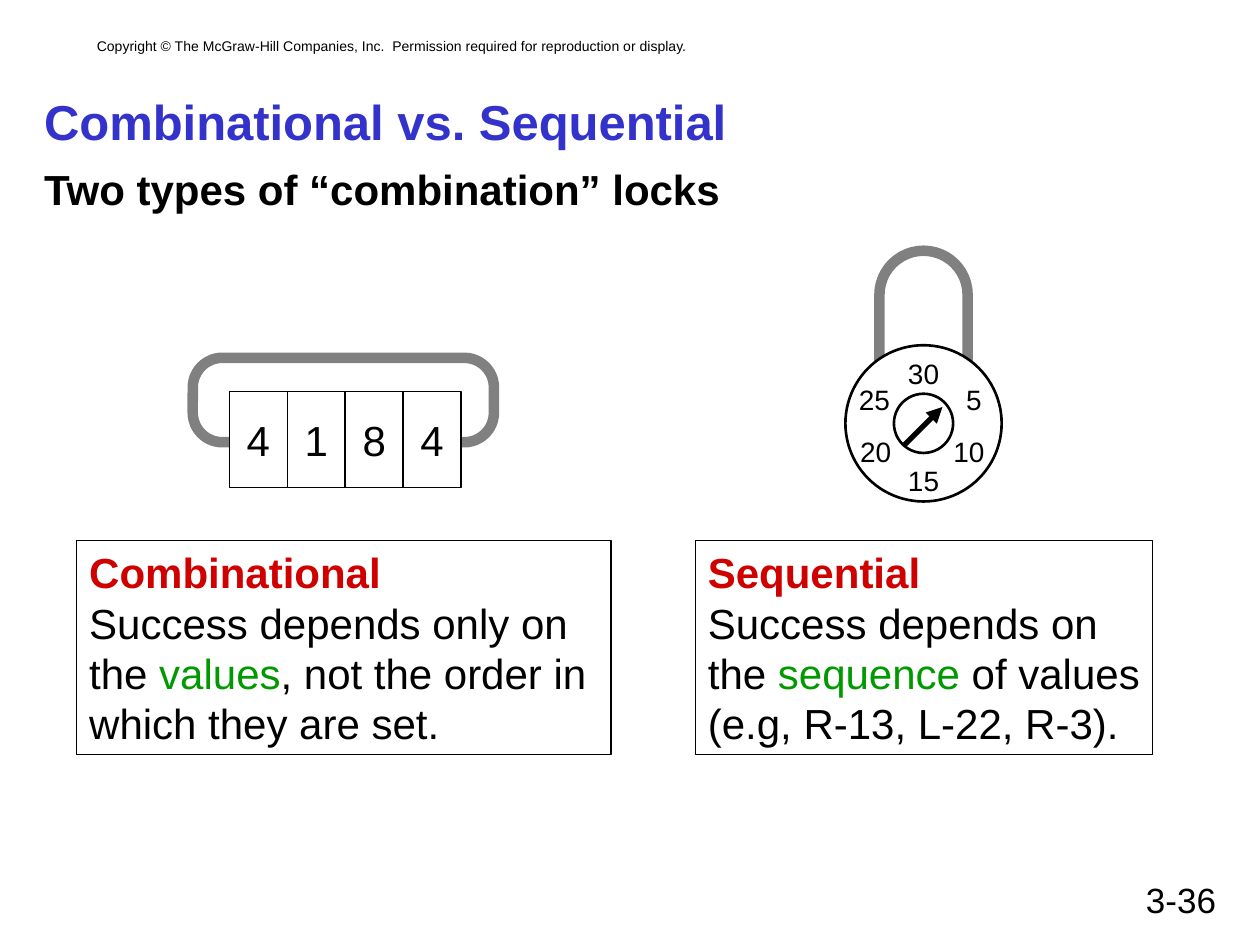
from lxml.etree import SubElement
from pptx import Presentation
from pptx.dml.color import RGBColor
from pptx.enum.shapes import MSO_CONNECTOR, MSO_SHAPE
from pptx.enum.text import MSO_ANCHOR, PP_ALIGN
from pptx.oxml.ns import qn
from pptx.util import Inches, Pt

BLACK, WHITE, GRAY = "000000", "FFFFFF", "808080"
BLUE, RED, GREEN = "3333CC", "CE0000", "009900"

NOTICE = ("Copyright © The McGraw-Hill Companies, Inc.  "
          "Permission required for reproduction or display.")
TITLE = "Combinational vs. Sequential"
LEAD = "Two types of “combination” locks"
PAGE = "3-36"

DIGITS = "4184"
# Dial label, offset from the dial centre, box width
MARKS = [("30", 0, -0.4, 0.44), ("5", 0.4, -0.19, 0.32),
         ("10", 0.36, 0.22, 0.44), ("15", 0, 0.45, 0.44),
         ("20", -0.38, 0.22, 0.44), ("25", -0.39, -0.19, 0.44)]
# Box place, then paragraphs of (text, colour, bold) runs
NOTES = [
    ((0.61, 4.29, 4.24, 1.7), [
        [("Combinational", RED, True)],
        [("Success depends only on\nthe ", BLACK, False),
         ("values", GREEN, False),
         (", not the order in\nwhich they are set.", BLACK, False)]]),
    ((5.52, 4.29, 3.63, 1.7), [
        [("Sequential", RED, True)],
        [("Success depends on\nthe ", BLACK, False),
         ("sequence", GREEN, False), (" of values", BLACK, False)],
        [("(e.g, R-13, L-22, R-3).", BLACK, False)]]),
]


def color(code):
    return RGBColor.from_string(code)


def write(shape, text, size, tint=BLACK, bold=False, align=PP_ALIGN.LEFT,
          anchor=MSO_ANCHOR.TOP, wrap=True, pad=0.1):
    """Fill a shape with a string, or with paragraphs of (text, colour, bold)."""
    frame = shape.text_frame
    frame.word_wrap, frame.vertical_anchor = wrap, anchor
    frame.margin_left = frame.margin_right = Inches(pad)
    paras = [[(text, tint, bold)]] if isinstance(text, str) else text
    for i, runs in enumerate(paras):
        para = frame.add_paragraph() if i else frame.paragraphs[0]
        para.alignment, para.space_before = align, Pt(0)
        for words, hue, heavy in runs:
            for j, line in enumerate(words.split("\n")):
                if j:
                    para.add_line_break()
                run = para.add_run()
                run.text = line
                font = run.font
                font.name, font.size, font.bold = "Arial", Pt(size), heavy
                font.color.rgb = color(hue)


def place(shape, *box):
    shape.left, shape.top, shape.width, shape.height = map(Inches, box)
    return shape


def label(home, box, text, size, **style):
    write(home.add_textbox(*map(Inches, box)), text, size, **style)


def draw(home, kind, box, line=BLACK, weight=0.75, fill=None):
    shape = home.add_shape(kind, *map(Inches, box))
    shape.shadow.inherit = False
    shape.line.color.rgb, shape.line.width = color(line), Pt(weight)
    if fill:
        shape.fill.solid()
        shape.fill.fore_color.rgb = color(fill)
    else:
        shape.fill.background()
    return shape


def disc(home, x, y, size):
    draw(home, MSO_SHAPE.OVAL, (x - size / 2, y - size / 2, size, size),
         weight=1.5, fill=WHITE)


def digit_lock(shapes):
    home = shapes.add_group_shape().shapes
    bar = draw(home, MSO_SHAPE.ROUNDED_RECTANGLE, (1.53, 2.84, 2.39, 0.67),
               GRAY, 6)
    bar.adjustments[0] = 0.35
    for i, digit in enumerate(DIGITS):
        wheel = draw(home, MSO_SHAPE.RECTANGLE,
                     (1.82 + 0.46 * i, 3.11, 0.46, 0.76), fill=WHITE)
        write(wheel, digit, 24, align=PP_ALIGN.CENTER,
              anchor=MSO_ANCHOR.MIDDLE, wrap=False)


def dial_lock(shapes, x=7.33, y=3.36):
    home = shapes.add_group_shape().shapes
    bar = draw(home, MSO_SHAPE.ROUNDED_RECTANGLE, (x - 0.35, 1.99, 0.7, 1.23),
               GRAY, 6, WHITE)
    bar.adjustments[0] = 0.5
    disc(home, x, y, 1.24)
    disc(home, x, y, 0.47)
    for text, dx, dy, width in MARKS:
        label(home, (x + dx - width / 2, y + dy - 0.18, width, 0.37), text, 16,
              align=PP_ALIGN.CENTER, pad=0)
    ends = (x - 0.15, y + 0.17, x + 0.15, y - 0.13)
    hand = home.add_connector(MSO_CONNECTOR.STRAIGHT, *map(Inches, ends))
    hand.line.color.rgb, hand.line.width = color(BLACK), Pt(3)
    SubElement(hand.line._get_or_add_ln(), qn("a:tailEnd"), type="triangle")
    SubElement(hand._element.spPr, qn("a:effectLst"))


def main():
    deck = Presentation()
    deck.slide_width, deck.slide_height = Inches(10), Inches(7.5)
    slide = deck.slides.add_slide(deck.slide_layouts[1])
    shapes = slide.shapes

    write(place(shapes.title, 0.25, 0.67, 9.5, 0.58), TITLE, 28, tint=BLUE,
          bold=True, anchor=MSO_ANCHOR.MIDDLE)
    body = place(slide.placeholders[1], 0.25, 1.25, 9.5, 5.42)
    props = body.text_frame.paragraphs[0]._p.get_or_add_pPr()
    props.set("marL", "0")
    props.set("indent", "0")
    SubElement(props, qn("a:buNone"))
    write(body, LEAD, 24, bold=True)

    label(shapes, (0.67, 0.25, 8.67, 0.24), NOTICE, 8)
    label(shapes, (7.17, 6.92, 2.58, 0.42), PAGE, 20, align=PP_ALIGN.RIGHT)
    digit_lock(shapes)
    dial_lock(shapes)
    for box, text in NOTES:
        write(draw(shapes, MSO_SHAPE.RECTANGLE, box), text, 24, wrap=False)
    deck.save("out.pptx")


if __name__ == "__main__":
    main()
